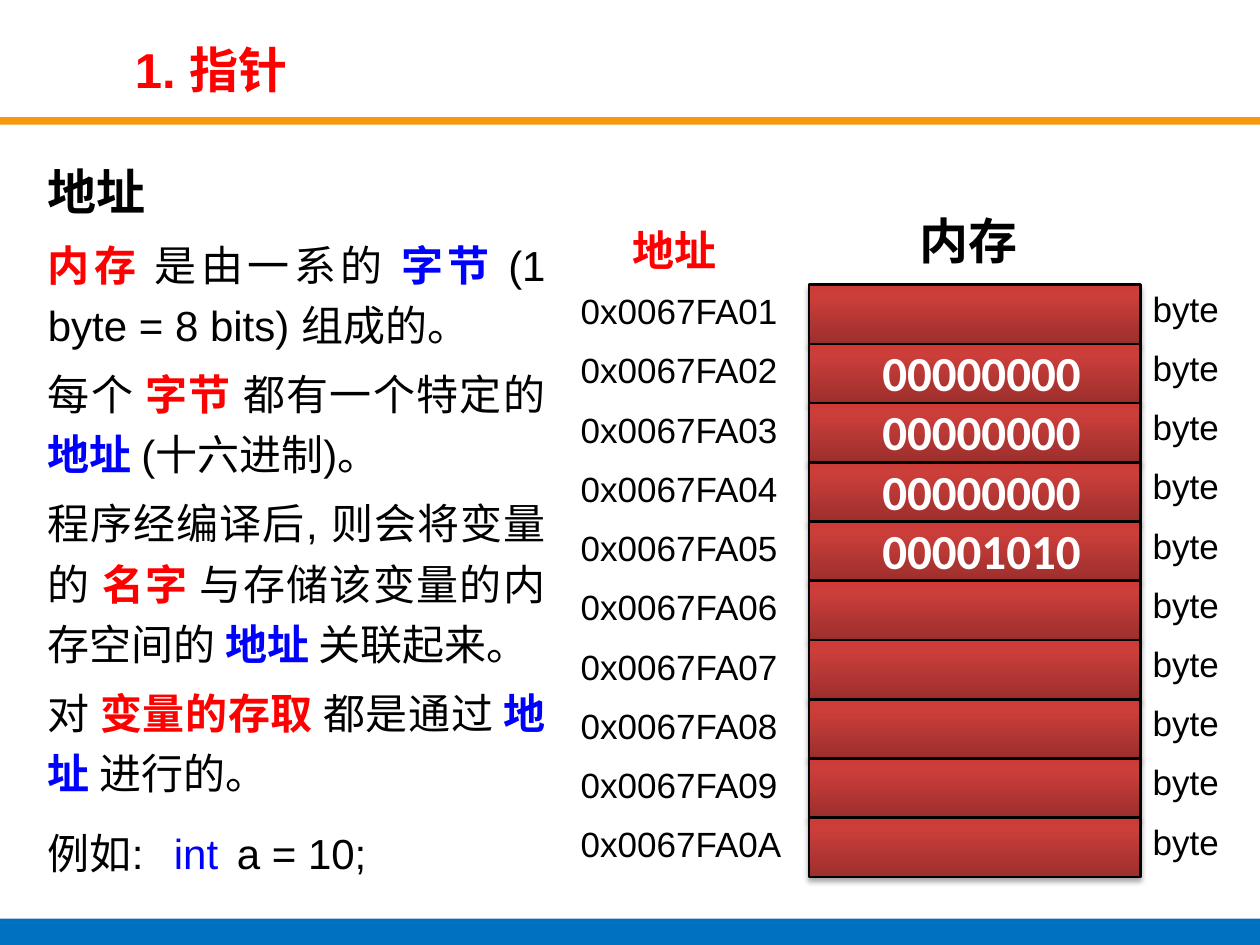
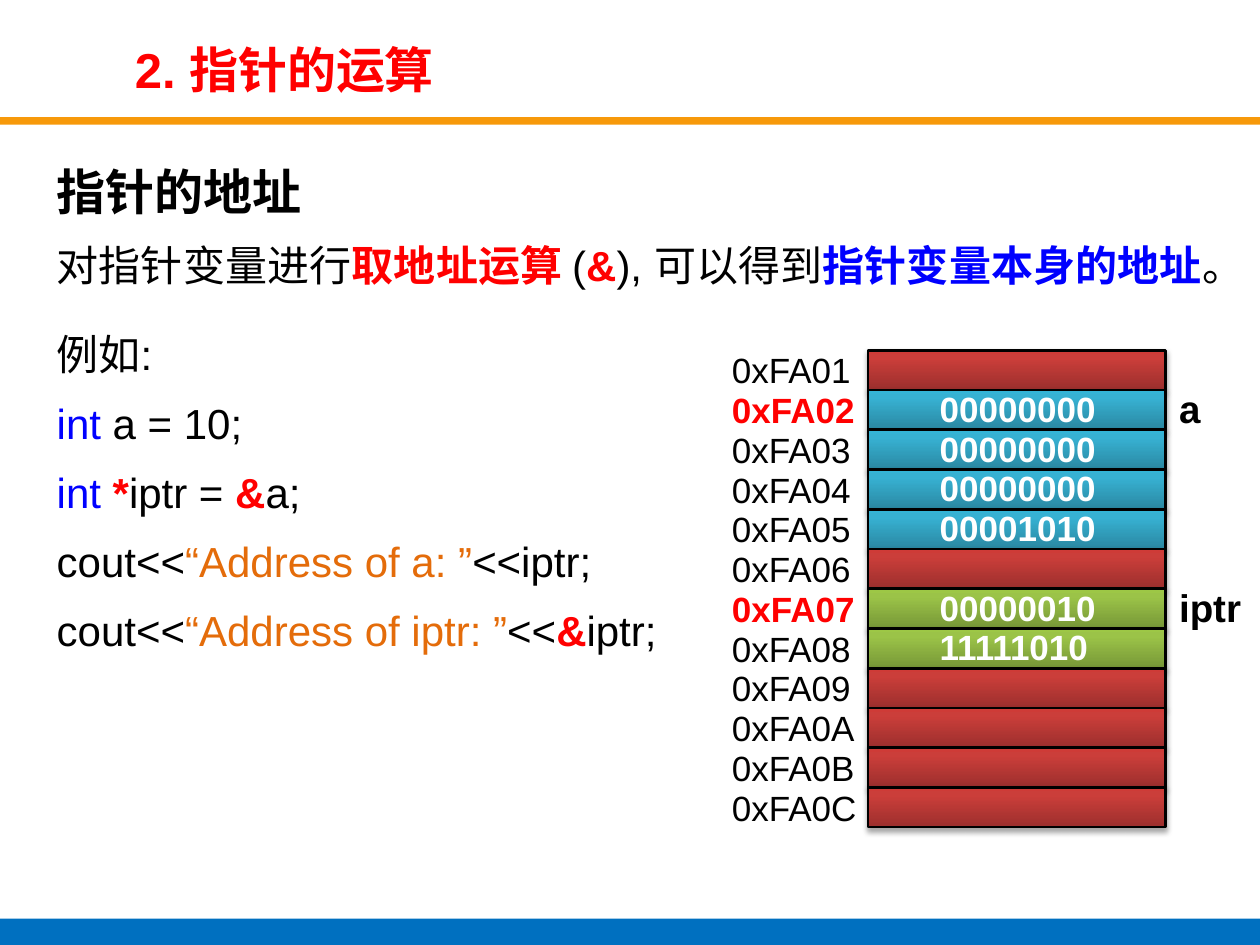
import pptx
import pptx.util
import pptx.oxml
import pptx.oxml.ns
import pptx.dml.color
import pptx.enum.shapes
import pptx.enum.text
from pptx.util import Inches

ALIGN = pptx.enum.text.PP_ALIGN
ANCHOR = pptx.enum.text.MSO_ANCHOR
AUTO_SIZE = pptx.enum.text.MSO_AUTO_SIZE

COLORS = {
    "black": "000000", "white": "FFFFFF", "red": "FF0000", "blue": "0000FF",
    "string": "E46C0A", "title_rule": "F7990A", "footer": "0070C0",
}
GRADIENTS = {
    "free": ("9C2F2D", "CB3E3A", "CE3B37"),
    "int": ("2A88A2", "37B1D2", "34B4D6"),
    "pointer": ("779737", "9BC348", "9DC746"),
}
RUN_STYLES = {
    "plain": ("black", False), "heading": ("black", True), "key": ("red", True),
    "term": ("blue", True), "keyword": ("blue", False), "string": ("string", False),
}

POINTER_SLIDE = {
    "title": "1. 指针",
    "body_box": (0.28, 1.14, 4.15, 6.08),
    "body": [
        {"runs": [("地址", "heading")], "size": 28},
        {"runs": [("内存 ", "key"), ("是由一系的 ", "plain"), ("字节 ", "term"),
                  ("(1 byte = 8 bits) 组成的。", "plain")]},
        {"runs": [("每个 ", "plain"), ("字节 ", "key"), ("都有一个特定的 ", "plain"),
                  ("地址 ", "term"), ("(十六进制)。", "plain")]},
        {"runs": [("程序经编译后, 则会将变量的 ", "plain"), ("名字 ", "key"),
                  ("与存储该变量的内存空间的 ", "plain"), ("地址 ", "term"),
                  ("关联起来。", "plain")]},
        {"runs": [("对 ", "plain"), ("变量的存取 ", "key"), ("都是通过 ", "plain"),
                  ("地址 ", "term"), ("进行的。", "plain")], "after": 12},
        {"runs": [("例如:\t", "plain"), ("int\t", "keyword"), ("a = 10;", "plain")],
         "spacing": 1.0, "align": ALIGN.LEFT, "tabs": (1.11, 1.65)},
    ],
}
BYTE_ADDRESSES = ["0x0067FA01", "0x0067FA02", "0x0067FA03", "0x0067FA04", "0x0067FA05",
                  "0x0067FA06", "0x0067FA07", "0x0067FA08", "0x0067FA09", "0x0067FA0A"]
BYTE_VALUES = {1: "00000000", 2: "00000000", 3: "00000000", 4: "00001010"}

OPERATION_SLIDE = {
    "title": "2. 指针的运算",
    "body_box": (0.35, 1.14, 9.29, 5.99),
    "body": [
        {"runs": [("指针的地址", "heading")], "size": 28},
        {"runs": [("对指针变量进行", "plain"), ("取地址运算 ", "key"), ("(", "plain"),
                  ("&", "key"), ("), 可以得到", "plain"), ("指针变量本身的地址", "term"),
                  ("。", "plain")], "after": 12},
        {"runs": [("例如:", "plain")]},
        {"runs": [("int", "keyword"), (" a = 10;", "plain")]},
        {"runs": [("int ", "keyword"), ("*", "key"), ("iptr = ", "plain"), ("&", "key"),
                  ("a;", "plain")]},
        {"runs": [("cout<<", "plain"), ("“Address of a: ”", "string"), ("<<iptr;", "plain")]},
        {"runs": [("cout<<", "plain"), ("“Address of iptr: ”", "string"), ("<<", "plain"),
                  ("&", "key"), ("iptr;", "plain")]},
    ],
}
VARIABLE_CELLS = [
    ("0xFA01", "free", "", ""),
    ("0xFA02", "int", "00000000", "a"),
    ("0xFA03", "int", "00000000", ""),
    ("0xFA04", "int", "00000000", ""),
    ("0xFA05", "int", "00001010", ""),
    ("0xFA06", "free", "", ""),
    ("0xFA07", "pointer", "00000010", "iptr"),
    ("0xFA08", "pointer", "11111010", ""),
    ("0xFA09", "free", "", ""),
    ("0xFA0A", "free", "", ""),
    ("0xFA0B", "free", "", ""),
    ("0xFA0C", "free", "", ""),
]


def rgb(name):
    return pptx.dml.color.RGBColor.from_string(COLORS[name])


def drawing_xml(content):
    tag, rest = content[1:].split(" ", 1)
    return pptx.oxml.parse_xml(f"<{tag} {pptx.oxml.ns.nsdecls('a')} {rest}")


def place(shape, left, top, width, height):
    shape.left, shape.top = Inches(left), Inches(top)
    shape.width, shape.height = Inches(width), Inches(height)


def add_run(paragraph, text, size=20, color="black", bold=False, font="Arial"):
    run = paragraph.add_run()
    run.text = text
    run.font.name = font
    run.font.size = pptx.util.Pt(size)
    run.font.bold = bold
    run.font.color.rgb = rgb(color)


def add_text(slide, text, box, align=ALIGN.LEFT, wrap=True, **run_format):
    text_box = slide.shapes.add_textbox(*map(Inches, box))
    text_box.text_frame.word_wrap = wrap
    paragraph = text_box.text_frame.paragraphs[0]
    paragraph.alignment = align
    add_run(paragraph, text, **run_format)


def add_band(slide, top, height, color):
    band = slide.shapes.add_shape(
        pptx.enum.shapes.MSO_SHAPE.RECTANGLE, 0, Inches(top), Inches(10), Inches(height))
    band.shadow.inherit = False
    band.fill.solid()
    band.fill.fore_color.rgb = rgb(color)
    band.line.fill.background()


def add_cell(slide, box, kind):
    cell = slide.shapes.add_shape(
        pptx.enum.shapes.MSO_SHAPE.RECTANGLE, *map(Inches, box))
    cell.line.color.rgb = rgb("black")
    cell.line.width = pptx.util.Pt(1.5)
    stops = "".join(
        f'<a:gs pos="{position}"><a:srgbClr val="{color}"/></a:gs>'
        for position, color in zip((0, 80000, 100000), GRADIENTS[kind]))
    properties = cell.element.spPr
    properties.insert(2, drawing_xml(
        f'<a:gradFill rotWithShape="1"><a:gsLst>{stops}</a:gsLst>'
        '<a:lin ang="16200000" scaled="0"/></a:gradFill>'))
    cell.shadow.inherit = False
    effects = properties.find(pptx.oxml.ns.qn("a:effectLst"))
    effects.append(drawing_xml(
        '<a:outerShdw blurRad="39370" dist="22860" dir="5400000" rotWithShape="0">'
        f'<a:srgbClr val="{COLORS["black"]}"><a:alpha val="35000"/></a:srgbClr>'
        '</a:outerShdw>'))


def fill_body(body, entries):
    frame = body.text_frame
    frame.auto_size = AUTO_SIZE.NONE
    for index, entry in enumerate(entries):
        paragraph = frame.paragraphs[0] if index == 0 else frame.add_paragraph()
        size = entry.get("size", 24)
        properties = paragraph._p.get_or_add_pPr()
        properties.set("marL", "0")
        properties.set("indent", "0")
        properties.append(drawing_xml("<a:buNone />"))
        if "tabs" in entry:
            stops = "".join(f'<a:tab pos="{Inches(tab)}" algn="l"/>' for tab in entry["tabs"])
            properties.append(drawing_xml(f"<a:tabLst >{stops}</a:tabLst>"))
        paragraph.alignment = entry.get("align", ALIGN.JUSTIFY)
        paragraph.line_spacing = entry.get("spacing", 1.2)
        paragraph.space_before = pptx.util.Pt(size * 0.2 if index else 0)
        paragraph.space_after = pptx.util.Pt(entry.get("after", 0))
        for text, style in entry["runs"]:
            color, bold = RUN_STYLES[style]
            add_run(paragraph, text, size=size, color=color, bold=bold)


def add_lesson_slide(presentation, content):
    slide = presentation.slides.add_slide(presentation.slide_layouts[1])
    title, body = slide.shapes.title, slide.placeholders[1]
    place(title, 0.97, 0.27, 6.86, 0.55)
    title.text_frame.auto_size = AUTO_SIZE.NONE
    title.text_frame.vertical_anchor = ANCHOR.MIDDLE
    paragraph = title.text_frame.paragraphs[0]
    paragraph.alignment = ALIGN.LEFT
    add_run(paragraph, content["title"], size=28, color="red", bold=True)
    place(body, *content["body_box"])
    fill_body(body, content["body"])
    add_band(slide, 0.93, 0.06, "title_rule")
    add_band(slide, 7.29, 0.24, "footer")
    return slide


def add_byte_memory(slide):
    first_top, pitch = 2.26, 0.47
    add_text(slide, "内存", (7.2, 1.62, 1.65, 0.57), size=28, bold=True)
    add_text(slide, "地址", (4.92, 1.73, 1.45, 0.5), size=24, color="red", bold=True)
    for row, address in enumerate(BYTE_ADDRESSES):
        top = first_top + row * pitch
        add_cell(slide, (6.42, top, 2.63, pitch), "free")
        add_text(slide, address, (4.51, top - 0.01, 1.81, 0.44))
        add_text(slide, "byte", (9.05, top - 0.03, 0.83, 0.44))
    for row, value in BYTE_VALUES.items():
        add_text(slide, value, (6.89, first_top + row * pitch - 0.06, 1.8, 0.57),
                 align=ALIGN.CENTER, wrap=False, size=28, color="white", bold=True,
                 font="Calibri")


def add_variable_memory(slide):
    first_top, last_top = 2.78, 6.25
    pitch = (last_top - first_top) / (len(VARIABLE_CELLS) - 1)
    tops = [first_top + row * pitch for row in range(len(VARIABLE_CELLS))]
    for top, (address, kind, value, variable) in zip(tops, VARIABLE_CELLS):
        add_cell(slide, (6.89, top, 2.36, pitch), kind)
        add_text(slide, address, (5.71, top - 0.06, 1.21, 0.44),
                 color="red" if variable else "black", bold=bool(variable))
        if variable:
            add_text(slide, variable, (9.26, top - 0.09, 0.72, 0.47), size=22, bold=True)
    for top, (address, kind, value, variable) in zip(tops, VARIABLE_CELLS):
        if value:
            add_text(slide, value, (7.36, top - 0.07, 1.5, 0.44), color="white", bold=True)


def main():
    presentation = pptx.Presentation()
    presentation.slide_width, presentation.slide_height = Inches(10), Inches(7.5)
    add_byte_memory(add_lesson_slide(presentation, POINTER_SLIDE))
    add_variable_memory(add_lesson_slide(presentation, OPERATION_SLIDE))
    presentation.save("out.pptx")


if __name__ == "__main__":
    main()
